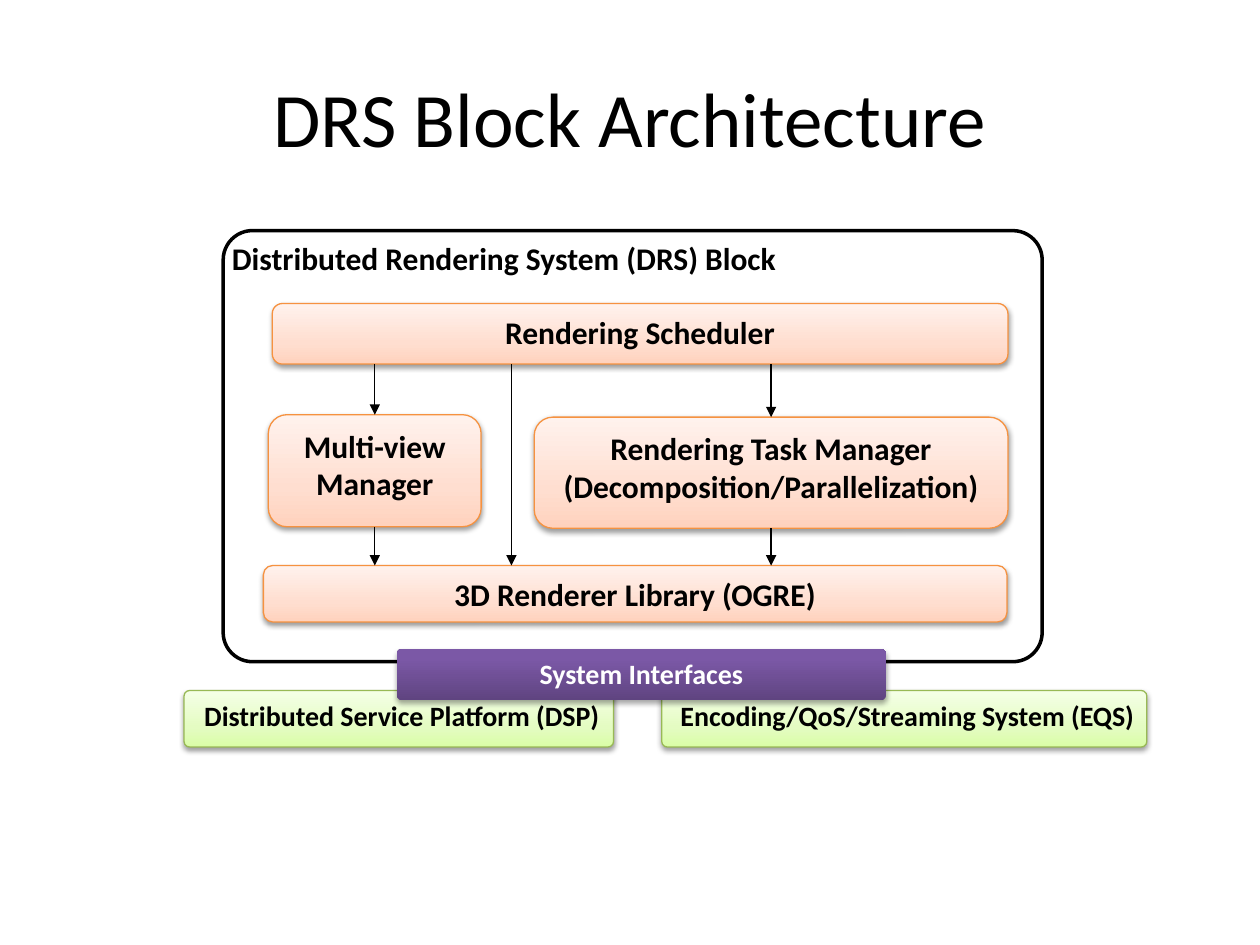
from lxml.etree import SubElement
from pptx import Presentation
from pptx.dml.color import RGBColor
from pptx.enum.shapes import MSO_CONNECTOR, MSO_SHAPE
from pptx.enum.text import MSO_ANCHOR, PP_ALIGN
from pptx.oxml.ns import qn
from pptx.util import Cm, Pt

PEACH = {"stops": [(0, "FFD2BD"), (35, "FFDED0"), (100, "FFF2ED")],
         "line": "F69240", "size": 18, "ink": "000000", "round": 0.167, "shade": 38}
GREEN = {"stops": [(0, "DAFDA7"), (35, "E4FCC2"), (100, "F5FFE7")],
         "line": "98B955", "size": 16, "ink": "000000", "round": 0.1, "shade": 38,
         "inset": (0.13, 0.13, 0, 0)}
PURPLE = {"stops": [(0, "5F4480"), (80, "7B58A6"), (100, "7C57A8")],
          "line": None, "size": 16, "ink": "FFFFFF", "round": 0.1, "shade": 35,
          "inset": (0, 0.13, 0, 0)}
FRAME = {"stops": None, "line": "000000", "width": 2, "size": 18, "ink": "000000",
         "round": 0.068, "inset": (0, 0, 0, 0), "align": PP_ALIGN.LEFT}


def color(code):
    """Turn a hex string into a colour."""
    return RGBColor.from_string(code)


def style(font, **values):
    """Set font attributes from format values."""
    for name, value in ({"name": "Calibri"} | values).items():
        setattr(font, name, value)


def node(parent, tag, **values):
    """Add a DrawingML element with the given attributes."""
    return SubElement(parent, qn(f"a:{tag}"), {k: str(v) for k, v in values.items()})


def blend(shape, stops):
    """Fill a shape with a gradient that rises from its base."""
    shape.fill.gradient()
    shape.fill.gradient_angle = 90
    group = shape._element.spPr.find(".//" + qn("a:gsLst"))
    for stop in list(group):
        group.remove(stop)
    for place, code in stops:
        node(node(group, "gs", pos=place * 1000), "srgbClr", val=code)


def shade(shape, alpha):
    """Give a shape a soft shadow below it."""
    effects = shape._element.spPr.find(qn("a:effectLst"))
    outer = node(effects, "outerShdw", blurRad=Pt(3.1), dist=Pt(1.6),
                 dir=5400000, rotWithShape=0)
    node(node(outer, "srgbClr", val="000000"), "alpha", val=alpha * 1000)


def block(slide, box, text, look):
    """Draw a rounded block with its label."""
    shape = slide.shapes.add_shape(MSO_SHAPE.ROUNDED_RECTANGLE, *map(Cm, box))
    shape.adjustments[0] = look["round"]
    shape.shadow.inherit = False
    if look["stops"]:
        blend(shape, look["stops"])
        shade(shape, look["shade"])
    else:
        shape.fill.background()
    if look["line"]:
        shape.line.color.rgb = color(look["line"])
        shape.line.width = Pt(look.get("width", 0.75))
    else:
        shape.line.fill.background()
    frame = shape.text_frame
    frame.word_wrap = True
    frame.vertical_anchor = MSO_ANCHOR.TOP
    insets = look.get("inset", (0.25, 0.13, 0.25, 0.13))
    for side, gap in zip(("left", "top", "right", "bottom"), insets):
        setattr(frame, f"margin_{side}", Cm(gap))
    frame.text = text
    for para in frame.paragraphs:
        para.alignment = look.get("align", PP_ALIGN.CENTER)
        style(para.font, size=Pt(look["size"]), bold=True)
        para.font.color.rgb = color(look["ink"])
    return shape


def arrow(slide, x, top, bottom):
    """Draw a downward arrow between two heights."""
    line = slide.shapes.add_connector(MSO_CONNECTOR.STRAIGHT, x, top, x, bottom)
    line.line.color.rgb = color("000000")
    line.line.width = Pt(0.75)
    node(line.line._get_or_add_ln(), "tailEnd", type="triangle")
    node(line._element.spPr, "effectLst")
    return line


def heading(slide, box, text):
    """Place and format the slide title."""
    title = slide.shapes.title
    title.left, title.top, title.width, title.height = map(Cm, box)
    frame = title.text_frame
    frame.text = text
    frame.vertical_anchor = MSO_ANCHOR.MIDDLE
    para = frame.paragraphs[0]
    para.alignment = PP_ALIGN.CENTER
    style(para.font, size=Pt(44))
    para.font.color.rgb = color("000000")


def system(slide, box):
    """Draw the rendering system with its parts and arrows."""
    left, top, width, height = box

    def part(x, y, wide, high, text):
        """Draw one part inside the system."""
        return block(slide, (left + x, top + y, wide, high), text, PEACH)

    block(slide, box, "Distributed Rendering System (DRS) Block", FRAME)
    plan = part(0.99, 1.47, 14.83, 1.22, "Rendering Scheduler")
    view = part(0.91, 3.71, 4.29, 2.26, "Multi-view\nManager")
    base = part(0.81, 6.75, 14.99, 1.14, "3D Renderer Library (OGRE)")
    task = part(6.27, 3.76, 9.55, 2.24,
                "Rendering Task Manager\n(Decomposition/Parallelization)")
    start = plan.top + plan.height
    for unit in (view, task):
        x = unit.left + unit.width // 2
        arrow(slide, x, start, unit.top).end_connect(unit, 0)
        arrow(slide, x, unit.top + unit.height, base.top).begin_connect(unit, 2)
    arrow(slide, Cm(left + 5.81), start, base.top)


def links(slide, box):
    """Draw the outer systems and the interface bar over them."""
    left, top, width, height = box
    high, wide = 1.14, 9.78
    y = top + height - high
    block(slide, (left, y, 8.66, high), "Distributed Service Platform (DSP)", GREEN)
    block(slide, (left + width - wide, y, wide, high),
          "Encoding/QoS/Streaming System (EQS)", GREEN)
    block(slide, (left + 4.29, top, 9.86, 1.04), "System Interfaces", PURPLE)


def main():
    """Build and save the slide."""
    deck = Presentation()
    deck.slide_width, deck.slide_height = Cm(25.4), Cm(19.05)
    slide = deck.slides.add_slide(deck.slide_layouts[5])
    heading(slide, (1.27, 0.76, 22.86, 3.18), "DRS Block Architecture")
    system(slide, (4.5, 4.65, 16.51, 8.69))
    links(slide, (3.71, 13.08, 19.41, 1.98))
    deck.save("out.pptx")


if __name__ == "__main__":
    main()
